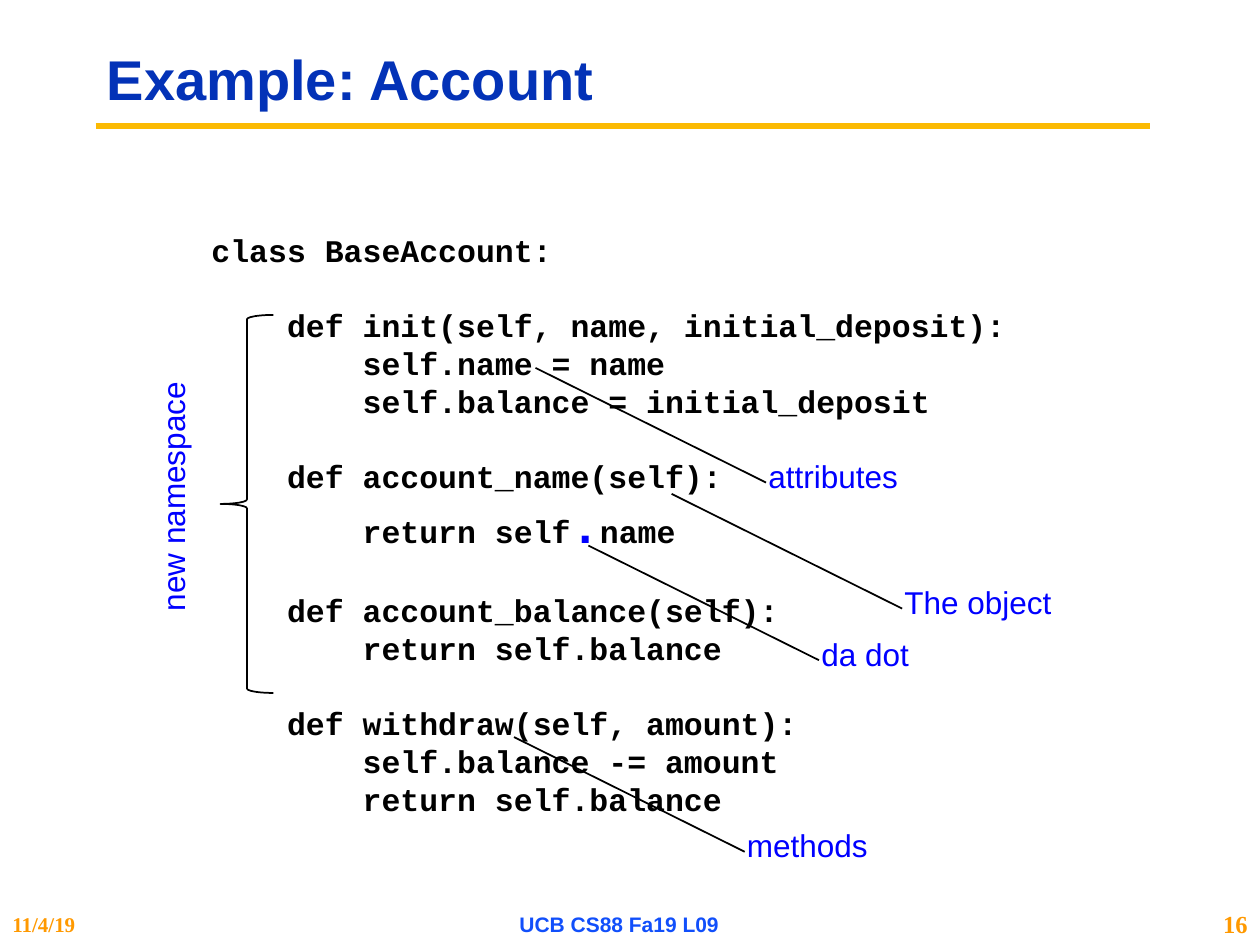
from lxml.etree import SubElement
from pptx import Presentation
from pptx.dml.color import RGBColor
from pptx.enum.shapes import MSO_CONNECTOR as Link, MSO_SHAPE as Shape
from pptx.enum.text import MSO_ANCHOR as Anchor, MSO_AUTO_SIZE as Auto, PP_ALIGN as Align
from pptx.oxml.ns import qn
from pptx.util import Inches, Pt

# Content
TITLE = "Example: Account"
DOT = "."
CODE = [  # blocks of lines, each line a list of runs
    [["class BaseAccount:"]],
    [["    def init(self, name, initial_deposit):"],
     ["        self.name = name"],
     ["        self.balance = initial_deposit"]],
    [["    def account_name(self):"],
     ["        return self", DOT, "name"]],
    [["    def account_balance(self):"],
     ["        return self.balance"]],
    [["    def withdraw(self, amount):"],
     ["        self.balance -= amount"],
     ["        return self.balance"]],
]
SCOPE = "new namespace"
NOTES = [  # text, start of its leader, width
    ("methods", (4.08, 5.85), 1.17),
    ("attributes", (4.25, 2.92), 1.24),
    ("The object", (5.33, 3.92), 1.38),
    ("da dot", (4.67, 4.33), 0.9),
]
FOOT = [  # text, left, width, alignment, format
    ("16", 9.42, 0.58, Align.RIGHT, dict(name="Times New Roman", size=14, color="FF9900")),
    ("11/4/19", 0, 1.67, Align.LEFT, dict(name="Times New Roman", size=12, color="FF9900")),
    ("UCB CS88 Fa19 L09", 3.33, 3.17, Align.CENTER, dict(name="Arial", size=12, color="114FFB")),
]

# Formats
HEAD = dict(name="Arial", size=32, bold=True, color="0332B7")
MONO = dict(name="Courier New", size=18, bold=True, color="000000")
SPOT = dict(MONO, size=28, color="0000FF")
NOTE = dict(name="Arial", size=18, color="0000FF")
ROW, TALL = 21.6, 33  # code line heights in points
LEAD = (1.83, 0.91)   # run and drop of every leader
TUCK = (0.08, 0.25)   # label corner, back from the leader's end


def rgb(code):
    return RGBColor.from_string(code)


def style(font, form):
    for key, val in form.items():
        if key == "color":
            font.color.rgb = rgb(val)
        else:
            setattr(font, key, Pt(val) if key == "size" else val)


def add_run(para, text, form):
    run = para.add_run()
    run.text = text
    style(run.font, form)


def add_box(x, y, w, h, **opts):
    box = slide.shapes.add_textbox(*map(Inches, (x, y, w, h)))
    frame = box.text_frame
    frame.word_wrap = True
    for key, val in opts.items():
        setattr(frame, key, val)
    return box


def add_text(text, form, *place, align=Align.LEFT, **opts):
    box = add_box(*place, **opts)
    para = box.text_frame.paragraphs[0]
    para.alignment = align
    add_run(para, text, form)
    return box


def add_line(start, end, color, width):
    line = slide.shapes.add_connector(Link.STRAIGHT, *map(Inches, (*start, *end)))
    line.line.color.rgb = rgb(color)
    line.line.width = Pt(width)
    SubElement(line._element.spPr, qn("a:effectLst"))


deck = Presentation()
deck.slide_width, deck.slide_height = Inches(10), Inches(7.5)
slide = deck.slides.add_slide(deck.slide_layouts[6])

# Title and rule
add_line((0.76, 1), (9.13, 1), "FBBA03", 3.75)
head = add_text(TITLE, HEAD, 0.75, 0.25, 8.42, 0.81, vertical_anchor=Anchor.MIDDLE)
head.text_frame.paragraphs[0].line_spacing = 0.9

# Code: one empty row of space above each block after the first
body = add_box(1.58, 1.75, 7, 4.88, margin_top=Inches(0.08)).text_frame
for b, block in enumerate(CODE):
    for n, runs in enumerate(block):
        first = b == n == 0
        para = body.paragraphs[0] if first else body.add_paragraph()
        para.line_spacing = Pt(TALL if DOT in runs else ROW)
        para.space_before = Pt(ROW if b and n == 0 else 0)
        for text in runs:
            add_run(para, text, SPOT if text == DOT else MONO)

# Brace with its turned label
brace = slide.shapes.add_shape(Shape.LEFT_BRACE, *map(Inches, (1.75, 2.5, 0.42, 3)))
brace.shadow.inherit = False
brace.fill.background()
brace.line.color.rgb = rgb("000000")
brace.line.width = Pt(1)
fit = dict(word_wrap=False, auto_size=Auto.SHAPE_TO_FIT_TEXT)
add_text(SCOPE, NOTE, 0.35, 3.73, 2.04, 0.4, **fit).rotation = 270

# Notes at the ends of equal leaders
for text, start, wide in NOTES:
    end = [s + d for s, d in zip(start, LEAD)]
    x, y = (e - t for e, t in zip(end, TUCK))
    add_text(text, NOTE, x, y, wide, 0.4, **fit)
    add_line(start, end, "000000", 1)

# Footer
for text, x, wide, align, form in FOOT:
    add_text(text, dict(form, bold=True), x, 7.17, wide, 0.33, align=align,
             vertical_anchor=Anchor.MIDDLE)

deck.save("out.pptx")
